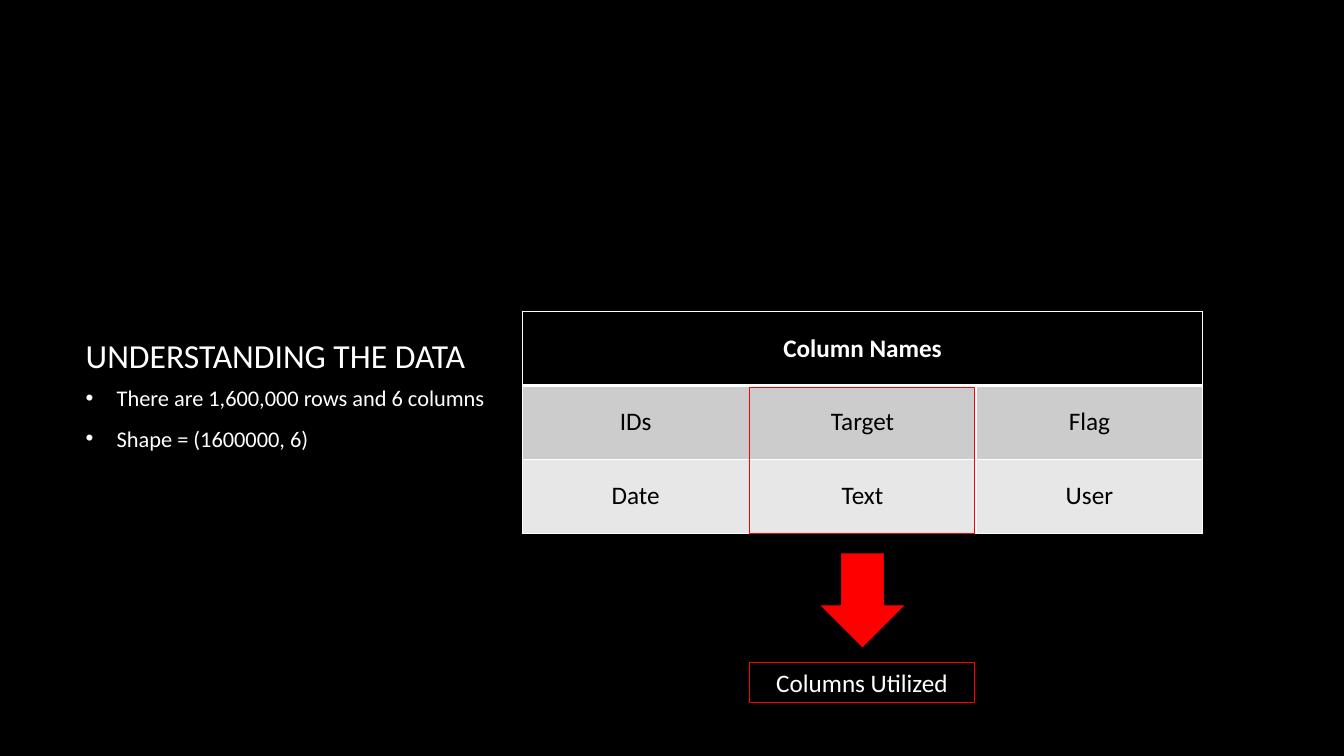
from lxml import etree
from pptx import Presentation
from pptx import util as u
from pptx.dml.color import RGBColor
from pptx.enum import shapes, text
from pptx.oxml import ns

COLORS = {
    "black": "000000",
    "white": "FFFFFF",
    "red": "FF0000",
    "dark_band": "CCCCCC",
    "light_band": "E7E7E7",
}
FONT = "Calibri"
TABLE_ROWS = [
    ["Column Names", "", ""],
    ["IDs", "Target", "Flag"],
    ["Date", "Text", "User"],
]
ROW_FILLS = ["black", "dark_band", "light_band"]
FACTS = ["There are 1,600,000 rows and 6 columns", "Shape = (1600000, 6)"]


def color(name):
    return RGBColor.from_string(COLORS[name])


def box(left, top, width, height):
    return [u.Inches(value) for value in (left, top, width, height)]


def style(paragraph, size, color_name="white", bold=False, align=text.PP_ALIGN.LEFT):
    paragraph.alignment = align
    paragraph.font.name = FONT
    paragraph.font.size = u.Pt(size)
    paragraph.font.bold = bold
    paragraph.font.color.rgb = color(color_name)


def set_title(slide, words, place):
    title = slide.shapes.title
    title.left, title.top, title.width, title.height = place
    frame = title.text_frame
    frame.text = words
    frame.vertical_anchor = text.MSO_ANCHOR.BOTTOM
    style(frame.paragraphs[0], 24)


def add_bullets(slide, items, place):
    frame = slide.shapes.add_textbox(*place).text_frame
    frame.word_wrap = True
    for index, item in enumerate(items):
        paragraph = frame.add_paragraph() if index else frame.paragraphs[0]
        paragraph.text = item
        paragraph.space_after = u.Pt(10)
        properties = paragraph._p.get_or_add_pPr()
        properties.set("marL", str(u.Inches(0.31)))
        properties.set("indent", str(-u.Inches(0.31)))
        bullet_color = etree.SubElement(properties, ns.qn("a:buClr"))
        etree.SubElement(bullet_color, ns.qn("a:srgbClr"), val=COLORS["white"])
        etree.SubElement(properties, ns.qn("a:buFont"), typeface="Arial")
        etree.SubElement(properties, ns.qn("a:buChar"), char="•")
        style(paragraph, 16)


def add_borders(cell, widths):
    properties = cell._tc.get_or_add_tcPr()
    for side, width in zip("LRTB", widths):
        line = etree.SubElement(properties, ns.qn(f"a:ln{side}"), w=str(u.Pt(width)))
        fill = etree.SubElement(line, ns.qn("a:solidFill"))
        etree.SubElement(fill, ns.qn("a:srgbClr"), val=COLORS["white"])


def add_column_table(slide, place):
    table = slide.shapes.add_table(len(TABLE_ROWS), len(TABLE_ROWS[0]), *place).table
    table.cell(0, 0).merge(table.cell(0, 2))
    for row, names in enumerate(TABLE_ROWS):
        header = row == 0
        for column, name in enumerate(names):
            cell = table.cell(row, column)
            add_borders(cell, (1, 1, 3 if row == 1 else 1, 3 if header else 1))
            cell.fill.solid()
            cell.fill.fore_color.rgb = color(ROW_FILLS[row])
            cell.vertical_anchor = text.MSO_ANCHOR.MIDDLE
            cell.text = name
            style(cell.text_frame.paragraphs[0], 18, "white" if header else "black",
                  header, text.PP_ALIGN.CENTER)


def add_block(slide, kind, place, line, line_width, fill=None):
    shape = slide.shapes.add_shape(kind, *place)
    shape.shadow.inherit = False
    shape.line.color.rgb = color(line)
    shape.line.width = u.Pt(line_width)
    if fill:
        shape.fill.solid()
        shape.fill.fore_color.rgb = color(fill)
    else:
        shape.fill.background()
    return shape


def add_label(shape, words):
    frame = shape.text_frame
    frame.text = words
    frame.word_wrap = True
    frame.vertical_anchor = text.MSO_ANCHOR.MIDDLE
    frame.auto_size = text.MSO_AUTO_SIZE.SHAPE_TO_FIT_TEXT
    style(frame.paragraphs[0], 18, align=text.PP_ALIGN.CENTER)


def main():
    presentation = Presentation()
    presentation.slide_width = u.Inches(13.33)
    presentation.slide_height = u.Inches(7.5)
    slide = presentation.slides.add_slide(presentation.slide_layouts[5])
    slide.background.fill.solid()
    slide.background.fill.fore_color.rgb = color("black")

    set_title(slide, "UNDERSTANDING THE DATA", box(0.75, 2.27, 4.03, 1.5))
    add_bullets(slide, FACTS, box(0.75, 3.76, 4.24, 2.01))
    add_column_table(slide, box(5.18, 3.09, 6.75, 2.2))

    rectangle = shapes.MSO_SHAPE.RECTANGLE
    add_block(slide, rectangle, box(7.43, 3.84, 2.24, 1.45), "red", 0.75)
    add_block(slide, shapes.MSO_SHAPE.DOWN_ARROW, box(8.11, 5.48, 0.89, 0.96),
              "black", 1.5, "red")
    label = add_block(slide, rectangle, box(7.43, 6.57, 2.24, 0.4), "red", 0.75)
    add_label(label, "Columns Utilized")

    presentation.save("out.pptx")


if __name__ == "__main__":
    main()
